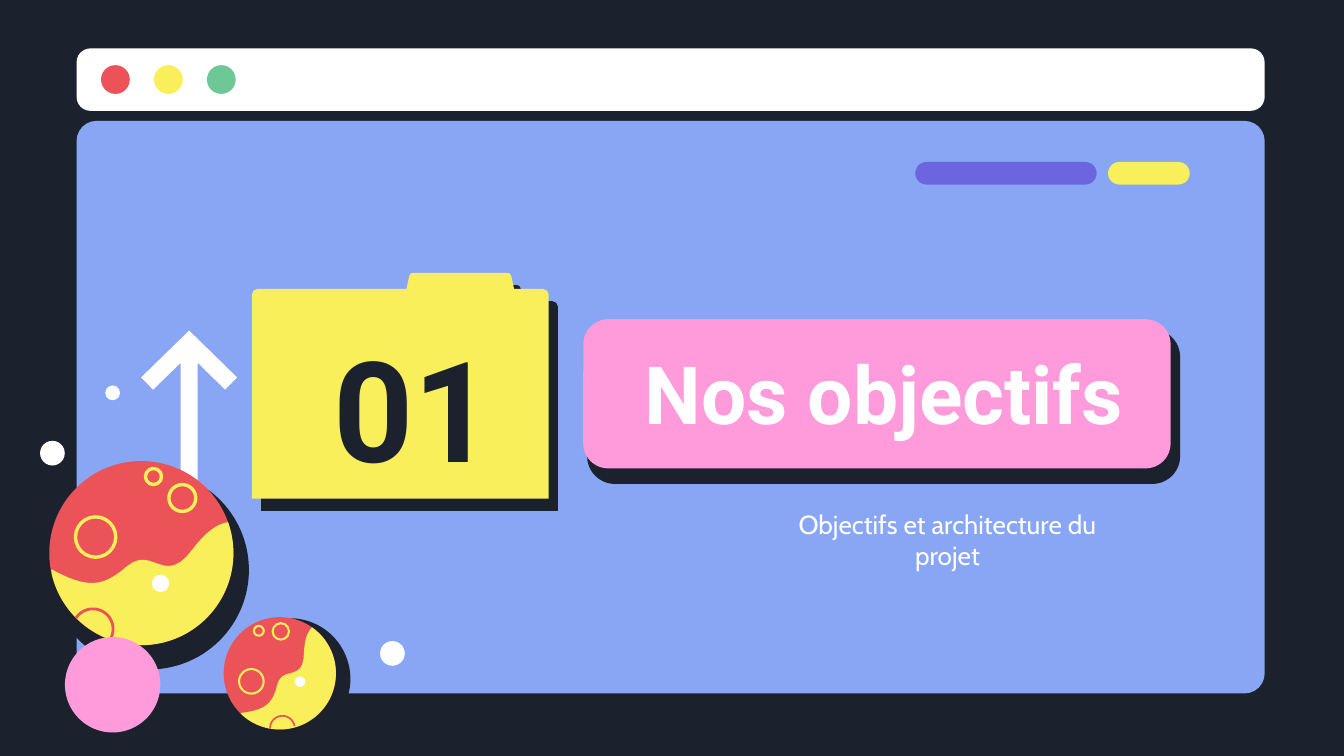
from math import cos, radians, sin

from pptx import Presentation
from pptx import util as u
from pptx.dml.color import RGBColor
from pptx.enum import shapes, text

NAVY = RGBColor(0x1B, 0x22, 0x2D)
WHITE = RGBColor(0xFF, 0xFF, 0xFF)
BLUE = RGBColor(0x88, 0xA6, 0xF3)
RED = RGBColor(0xEB, 0x53, 0x58)
YELLOW = RGBColor(0xF8, 0xEF, 0x5B)
GREEN = RGBColor(0x6D, 0xC7, 0x97)
PURPLE = RGBColor(0x6D, 0x65, 0xE0)
PINK = RGBColor(0xFF, 0x9B, 0xDA)

OVAL = shapes.MSO_SHAPE.OVAL
ROUNDED = shapes.MSO_SHAPE.ROUNDED_RECTANGLE

deck = Presentation()
deck.slide_width, deck.slide_height = u.Inches(10), u.Inches(5.625)
CELL = deck.slide_width / 100  # the grid has 100 columns and 56.25 rows

page = deck.slides.add_slide(deck.slide_layouts[5])
page.background.fill.solid()
page.background.fill.fore_color.rgb = NAVY


def place(kind, left, top, width, height, fill, corner=None):
    """Add a preset shape, measured in grid cells."""
    shape = page.shapes.add_shape(
        kind, *(round(n * CELL) for n in (left, top, width, height)))
    shape.shadow.inherit = False
    shape.line.fill.background()
    if fill is None:
        shape.fill.background()
    else:
        shape.fill.solid()
        shape.fill.fore_color.rgb = fill
    if corner is not None:
        shape.adjustments[0] = corner
    return shape


def outline(points, fill):
    """Add a freeform through complex points (column + row * 1j); open if unfilled."""
    pairs = [(round(p.real * CELL), round(p.imag * CELL)) for p in points]
    builder = page.shapes.build_freeform(*pairs[0])
    builder.add_line_segments(pairs[1:], close=fill is not None)
    shape = builder.convert_to_shape()
    shape.shadow.inherit = False
    shape.line.fill.background()
    if fill is None:
        shape.fill.background()
    else:
        shape.fill.solid()
        shape.fill.fore_color.rgb = fill
    return shape


# Browser window
place(ROUNDED, 5.7, 9, 88.4, 42.6, BLUE, 0.035)
place(ROUNDED, 5.7, 3.6, 88.4, 4.65, WHITE, 0.223)
for index, colour in enumerate((RED, YELLOW, GREEN)):
    place(OVAL, 7.52 + 3.94 * index, 4.85, 2.14, 2.14, colour)
place(ROUNDED, 68.1, 12.05, 13.5, 1.68, PURPLE, 0.5)
place(ROUNDED, 82.45, 12.05, 6.08, 1.68, YELLOW, 0.5)

# Arrow
outline([13.45 + 42.9j, 13.45 + 27j, 11.4 + 29j, 10.5 + 28.1j, 14.08 + 24.6j,
         17.65 + 28.1j, 16.75 + 29j, 14.72 + 27j, 14.72 + 42.9j], WHITE)

# Title card
card_shadow = place(ROUNDED, 43.9, 24.7, 43.7, 11.1, NAVY, 0.167)
card_shadow.line.color.rgb = NAVY
card_shadow.line.width = u.Pt(3)
place(ROUNDED, 43.4, 23.75, 43.7, 11.1, PINK, 0.167)

# Folder with its shadow
folder = [18.75 + 37.1j, 18.75 + 21.9j, 18.87 + 21.62j, 19.15 + 21.5j, 30.25 + 21.5j,
          30.45 + 20.55j, 30.55 + 20.36j, 30.75 + 20.3j, 37.75 + 20.3j, 37.95 + 20.36j,
          38.05 + 20.55j, 38.25 + 21.5j, 40.4 + 21.5j, 40.7 + 21.62j, 40.82 + 21.9j,
          40.82 + 37.1j]
for shift, colour in ((0.69 + 0.91j, NAVY), (0, YELLOW)):
    outline([point + shift for point in folder], colour)

# Wording
title = page.shapes.title
title.element.getparent().append(title.element)
number = page.shapes.add_textbox(0, 0, 0, 0)
subtitle = page.shapes.add_textbox(0, 0, 0, 0)
for box, words, area, size, font, colour, bold, anchor in (
    (number, "01", (22.3, 25.3, 17, 9.9), 75, "Roboto", NAVY, True, "MIDDLE"),
    (title, "Nos objectifs", (43.9, 24.6, 43.7, 9.2), 43, "Roboto", WHITE, True, "MIDDLE"),
    (subtitle, "Objectifs et architecture du projet", (58.3, 36.8, 24.4, 6.9),
     14, "Cabin", WHITE, False, "TOP"),
):
    box.left, box.top, box.width, box.height = (round(n * CELL) for n in area)
    frame = box.text_frame
    frame.text = words
    frame.word_wrap = True
    frame.auto_size = text.MSO_AUTO_SIZE.NONE
    frame.vertical_anchor = text.MSO_ANCHOR[anchor]
    frame.margin_left = frame.margin_right = u.Inches(0.1)
    frame.margin_top = frame.margin_bottom = u.Inches(0.1)
    para = frame.paragraphs[0]
    para.alignment = text.PP_ALIGN.CENTER
    span = para.runs[0]
    span.font.name, span.font.size, span.font.bold = font, u.Pt(size), bold
    span.font.color.rgb = colour

# Planet parts, in cells from the planet's centre
RADIUS = 6.85
curves = (
    (-6.7 + 1.2j, -4.1 + 2.6j, -2.9 + 2.6j, -1.1 + 1j),
    (-1.1 + 1j, 0.9 - 0.7j, 1.7 + 2.7j, 3.9 - 0.4j),
    (3.9 - 0.4j, 5 - 1.8j, 5.8 - 2.2j, 6.45 - 2.3j),
)
land = [a * (1 - t) ** 3 + 3 * b * t * (1 - t) ** 2 + 3 * c * t * t * (1 - t) + d * t ** 3
        for a, b, c, d in curves for t in (step / 12 for step in range(13))]
land += [RADIUS * complex(cos(radians(a)), sin(radians(a))) for a in range(-19, 170, 3)]
crater = [-3.6 + 5.65j + 1.5 * complex(cos(radians(a)), sin(radians(a)))
          for a in range(213, 386, 4)]
rings = ((-3.4 - 1.2j, 1.5), (3.05 - 4.1j, 1), (0.9 - 5.7j, 0.6))

for centre, scale, angle in ((10.52 + 41.16j, 1, 0), (20.82 + 50.1j, 0.61, -35.2)):
    spin = scale * complex(cos(radians(angle)), sin(radians(angle)))
    discs = [(0.6 + 1.25j, 7.4, NAVY), (0, RADIUS, RED)]
    discs += [(offset, radius, None) for offset, radius in rings]
    for offset, radius, colour in discs:
        middle, reach = centre + spin * offset, radius * scale
        disc = place(OVAL, middle.real - reach, middle.imag - reach,
                     2 * reach, 2 * reach, colour)
        if colour is None:
            disc.line.color.rgb = YELLOW
            disc.line.width = u.Pt(1.8 * scale)
    outline([centre + spin * point for point in land], YELLOW)
    rim = outline([centre + spin * point for point in crater], None)
    rim.line.color.rgb = RED
    rim.line.width = u.Pt(1.5 * scale)
    dot = centre + spin * (1.43 + 2.25j)
    place(OVAL, dot.real - 0.65 * scale, dot.imag - 0.65 * scale,
          1.3 * scale, 1.3 * scale, WHITE)

# Loose discs
for left, top, size, colour in ((4.83, 47.4, 7.1, PINK), (2.98, 32.8, 1.84, WHITE),
                                (28.28, 47.7, 1.84, WHITE), (7.83, 28.68, 1.1, WHITE)):
    place(OVAL, left, top, size, size, colour)

deck.save("out.pptx")
